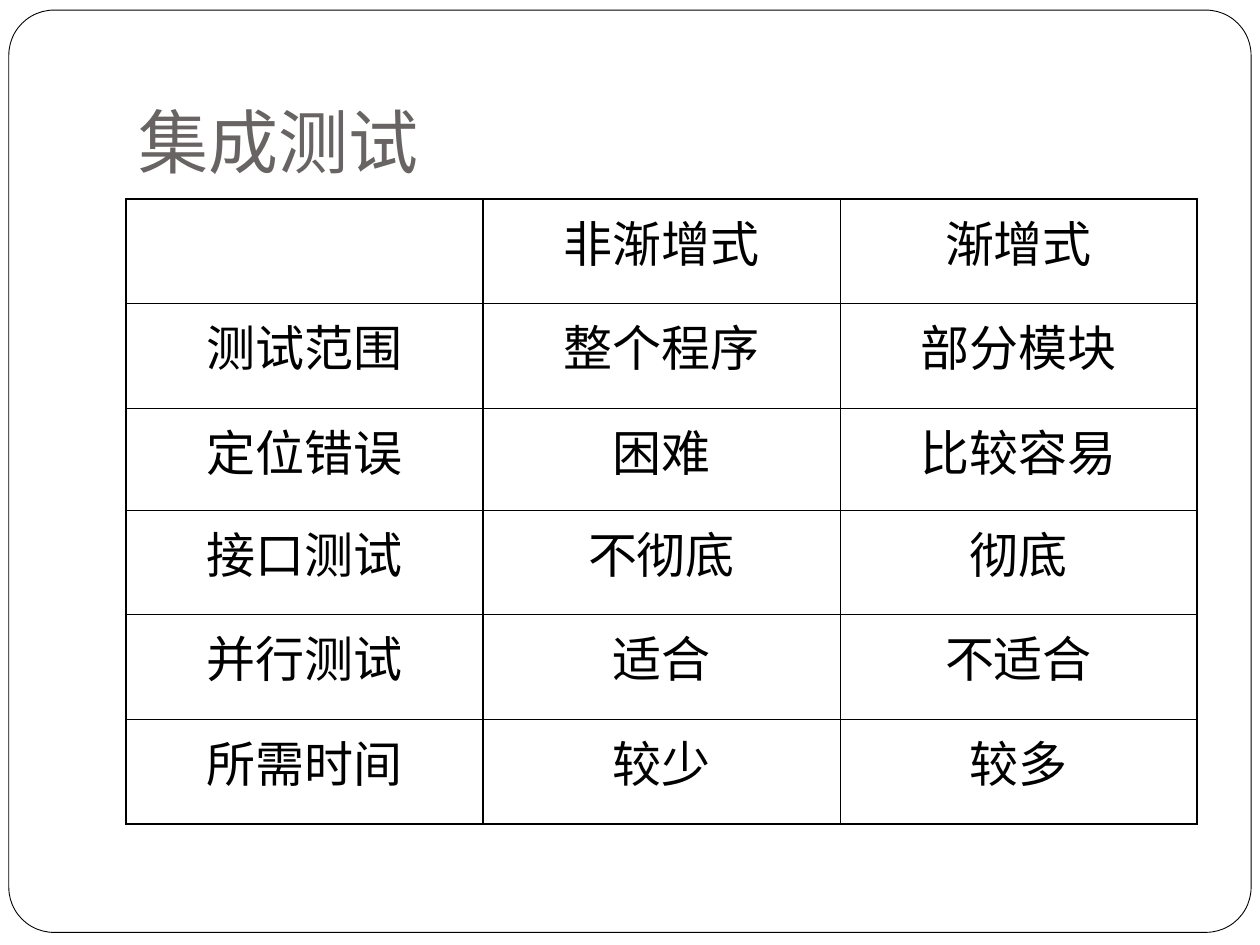
from dataclasses import dataclass

from lxml import etree
from pptx import Presentation
from pptx import util as u
from pptx.dml.color import RGBColor
from pptx.enum import shapes, text
from pptx.oxml.ns import qn

WIDTH, HEIGHT = u.Inches(10), u.Inches(7.5)
BLACK, WHITE, GREY = "000000", "FFFFFF", "696464"
THICK, THIN = u.Pt(1.08), u.Pt(0.45)
COLUMN_EDGES = (THICK, THICK, THIN, THICK)
ROW_EDGES = (THICK, THICK, THIN, THIN, THIN, THIN, THICK)
ROW_HEIGHTS = (0.83, 0.83, 0.81, 0.83, 0.83, 0.83)


@dataclass(frozen=True)
class Area:
    left: float
    top: float
    width: float
    height: float

    def lengths(self) -> tuple[int, int, int, int]:
        return (
            round(self.left * WIDTH),
            round(self.top * HEIGHT),
            round(self.width * WIDTH),
            round(self.height * HEIGHT),
        )


@dataclass(frozen=True)
class Row:
    label: str
    all_at_once: str
    incremental: str

    def texts(self) -> tuple[str, str, str]:
        return self.label, self.all_at_once, self.incremental


FRAME = Area(0.007, 0.08 / 7.5, 0.986, 7.32 / 7.5)
TITLE = Area(0.1, 0.04, 0.85, 1.25 / 7.5)
TABLE = Area(0.1, 1.58 / 7.5, 0.85, sum(ROW_HEIGHTS) / 7.5)
ROWS = (
    Row("", "非渐增式", "渐增式"),
    Row("测试范围", "整个程序", "部分模块"),
    Row("定位错误", "困难", "比较容易"),
    Row("接口测试", "不彻底", "彻底"),
    Row("并行测试", "适合", "不适合"),
    Row("所需时间", "较少", "较多"),
)


def colour(value: str) -> RGBColor:
    return RGBColor.from_string(value)


def write(body, words: str, *, size: float, font: str, ink: str, align) -> None:
    para = body.paragraphs[0]
    para.alignment = align
    para.space_before = u.Pt(0)
    span = para.add_run()
    span.text = words
    span.font.size = u.Pt(size)
    span.font.name = font
    span.font.color.rgb = colour(ink)


def draw_title(page, words: str) -> None:
    title = page.shapes.title
    title.left, title.top, title.width, title.height = TITLE.lengths()
    body = title.text_frame
    body.auto_size = text.MSO_AUTO_SIZE.NONE
    body.vertical_anchor = text.MSO_ANCHOR.BOTTOM
    body.margin_left = body.margin_right = body.margin_bottom = u.Inches(0.1)
    body.margin_top = u.Inches(0.05)
    write(body, words, size=40, font="Lato", ink=GREY, align=text.PP_ALIGN.LEFT)


def draw_frame(page) -> None:
    frame = page.shapes.add_shape(shapes.MSO_SHAPE.ROUNDED_RECTANGLE, *FRAME.lengths())
    frame.adjustments[0] = 0.049
    frame.shadow.inherit = False
    frame.fill.solid()
    frame.fill.fore_color.rgb = colour(WHITE)
    frame.line.color.rgb = colour(BLACK)
    frame.line.width = u.Pt(0.5)
    page.shapes.title.element.addprevious(frame.element)


def set_borders(cell, widths: dict[str, int]) -> None:
    properties = cell._tc.get_or_add_tcPr()
    for position, (side, width) in enumerate(widths.items()):
        line = etree.Element(qn(f"a:ln{side}"), w=str(int(width)))
        fill = etree.SubElement(line, qn("a:solidFill"))
        etree.SubElement(fill, qn("a:srgbClr"), val=BLACK)
        properties.insert(position, line)


def draw_table(page, rows: tuple[Row, ...]) -> None:
    columns = len(COLUMN_EDGES) - 1
    table = page.shapes.add_table(len(rows), columns, *TABLE.lengths()).table
    table.first_row = table.horz_banding = False
    for row, height in zip(table.rows, ROW_HEIGHTS):
        row.height = u.Inches(height)
    for r, row in enumerate(rows):
        for c, words in enumerate(row.texts()):
            cell = table.cell(r, c)
            cell.fill.background()
            cell.margin_left = cell.margin_right = u.Inches(0.09)
            cell.margin_top = cell.margin_bottom = u.Inches(0.05)
            set_borders(cell, {
                "L": COLUMN_EDGES[c], "R": COLUMN_EDGES[c + 1],
                "T": ROW_EDGES[r], "B": ROW_EDGES[r + 1],
            })
            if words:
                write(cell.text_frame, words, size=28, font="Arial", ink=BLACK,
                      align=text.PP_ALIGN.CENTER)


def main() -> None:
    deck = Presentation()
    deck.slide_width, deck.slide_height = WIDTH, HEIGHT
    page = deck.slides.add_slide(deck.slide_layouts.get_by_name("Title Only"))
    draw_frame(page)
    draw_title(page, "集成测试")
    draw_table(page, ROWS)
    deck.save("out.pptx")


if __name__ == "__main__":
    main()
